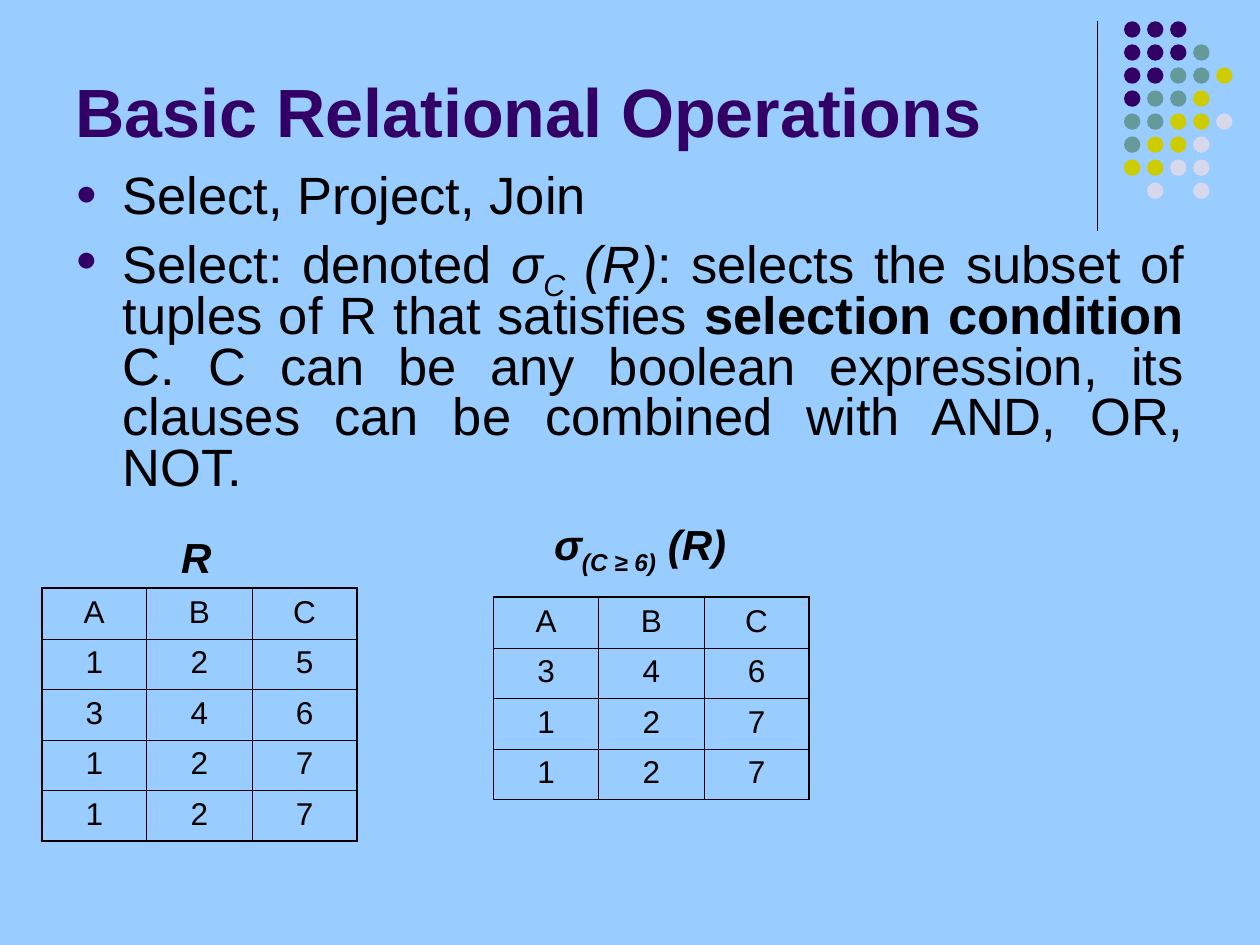
from lxml.etree import SubElement
from pptx import Presentation
from pptx.dml.color import RGBColor
from pptx.enum.shapes import MSO_CONNECTOR as CONN, MSO_SHAPE as SHAPE
from pptx.enum.text import MSO_ANCHOR as ANCHOR, PP_ALIGN as ALIGN
from pptx.oxml.ns import qn
from pptx.util import Cm, Pt

FONT = "Arial"
BLACK, PURPLE, SKY = "000000", "330066", "99CCFF"
THIN, THICK = 0.45, 1.08

TITLE = "Basic Relational Operations"
BULLETS = [
    (ALIGN.LEFT, [("Select, Project, Join", "")]),
    (ALIGN.JUSTIFY, [
        ("Select: denoted ", ""),
        ("σ", "i"),
        ("C", "i_"),
        (" (R)", "i"),
        (": selects the subset of tuples of R that satisfies ", ""),
        ("selection condition ", "b"),
        ("C. C can be any boolean expression, its clauses can be combined "
         "with AND, OR, NOT.", ""),
    ]),
]
LABELS = [
    ((3.4, 10.59, 1.3, 1.27), [("R", "bi")]),
    ((10.92, 10.33, 4.3, 1.42), [("σ", "bi"), ("(C ≥ 6)", "bi_"), (" (R)", "bi")]),
]
TABLES = [
    ((0.84, 11.86), ["ABC", "125", "346", "127", "127"]),
    ((9.95, 12.04), ["ABC", "346", "127", "127"]),
]
COL_W, ROW_H = 2.12, 1.02

DOT_COLORS = {"P": PURPLE, "T": "669999", "Y": "CCCC00", "L": "D8D8EC"}
DOTS = ["PPP", "PPPT", "PPTTY", "PTTY", "TTYYL", "TYYL", "YYLL", " L L"]
DOT_LEFT, DOT_TOP, DOT_SIZE = 22.66, 0.43, 0.33
DOT_STEP = 3.25 / (len(DOTS) - 1)


def rgb(value):
    return RGBColor.from_string(value)


def add_runs(p, runs, size, color=BLACK):
    for text, style in runs:
        r = p.add_run()
        r.text = text
        r.font.name, r.font.size = FONT, Pt(size)
        r.font.color.rgb = rgb(color)
        r.font.bold, r.font.italic = "b" in style, "i" in style
        if "_" in style:
            r.font._element.set("baseline", "-25000")


def add_text(s, box):
    tf = s.shapes.add_textbox(*map(Cm, box)).text_frame
    tf.word_wrap = True
    return tf


def add_bullet(p):
    pPr = p._p.get_or_add_pPr()
    pPr.set("marL", str(Cm(0.95)))
    pPr.set("indent", str(-Cm(0.95)))
    SubElement(SubElement(pPr, qn("a:buClr")), qn("a:srgbClr"), val=PURPLE)
    SubElement(pPr, qn("a:buSzPct"), val="70000")
    SubElement(pPr, qn("a:buFont"), typeface=FONT)
    SubElement(pPr, qn("a:buChar"), char="●")


def set_borders(cell, outer):
    tcPr = cell._tc.get_or_add_tcPr()
    for side, thick in zip("LRTB", outer):
        ln = SubElement(tcPr, qn(f"a:ln{side}"), w=str(Pt(THICK if thick else THIN)))
        SubElement(SubElement(ln, qn("a:solidFill")), qn("a:srgbClr"), val=BLACK)


def add_relation(s, corner, rows):
    n, m = len(rows), len(rows[0])
    table = s.shapes.add_table(n, m, *map(Cm, (*corner, m * COL_W, n * ROW_H))).table
    table.first_row = table.horz_banding = False
    for col in table.columns:
        col.width = Cm(COL_W)
    for i, values in enumerate(rows):
        table.rows[i].height = Cm(ROW_H)
        for j, value in enumerate(values):
            cell = table.cell(i, j)
            set_borders(cell, (j == 0, j == m - 1, i == 0, i == n - 1))
            cell.fill.background()
            p = cell.text_frame.paragraphs[0]
            p.alignment = ALIGN.CENTER
            add_runs(p, [(value, "")], 18)


def add_dots(s):
    group = s.shapes.add_group_shape()
    for i, row in enumerate(DOTS):
        for j, key in enumerate(row):
            if key == " ":
                continue
            dot = group.shapes.add_shape(
                SHAPE.OVAL, Cm(DOT_LEFT + j * DOT_STEP), Cm(DOT_TOP + i * DOT_STEP),
                Cm(DOT_SIZE), Cm(DOT_SIZE))
            dot.shadow.inherit = False
            dot.fill.solid()
            dot.fill.fore_color.rgb = rgb(DOT_COLORS[key])
            dot.line.fill.background()


def main():
    prs = Presentation()
    prs.slide_width, prs.slide_height = Cm(25.4), Cm(19.05)
    s = prs.slides.add_slide(prs.slide_layouts[6])
    s.background.fill.solid()
    s.background.fill.fore_color.rgb = rgb(SKY)

    rule = s.shapes.add_connector(CONN.STRAIGHT, *map(Cm, (22.12, 0.43, 22.12, 4.65)))
    rule.line.color.rgb, rule.line.width = rgb(BLACK), Pt(0.75)
    SubElement(rule._element.spPr, qn("a:effectLst"))
    add_dots(s)

    tf = add_text(s, (1.27, 0.33, 20.96, 2.84))
    tf.vertical_anchor = ANCHOR.BOTTOM
    add_runs(tf.paragraphs[0], [(TITLE, "b")], 39, PURPLE)

    tf = add_text(s, (1.27, 3.38, 22.86, 7.42))
    for i, (align, runs) in enumerate(BULLETS):
        p = tf.add_paragraph() if i else tf.paragraphs[0]
        add_bullet(p)
        p.alignment, p.line_spacing = align, 0.8
        if i:
            p.space_before = Pt(7.5)
        add_runs(p, runs, 30)

    for box, runs in LABELS:
        add_runs(add_text(s, box).paragraphs[0], runs, 24)

    for corner, rows in TABLES:
        add_relation(s, corner, rows)

    prs.save("out.pptx")


if __name__ == "__main__":
    main()
